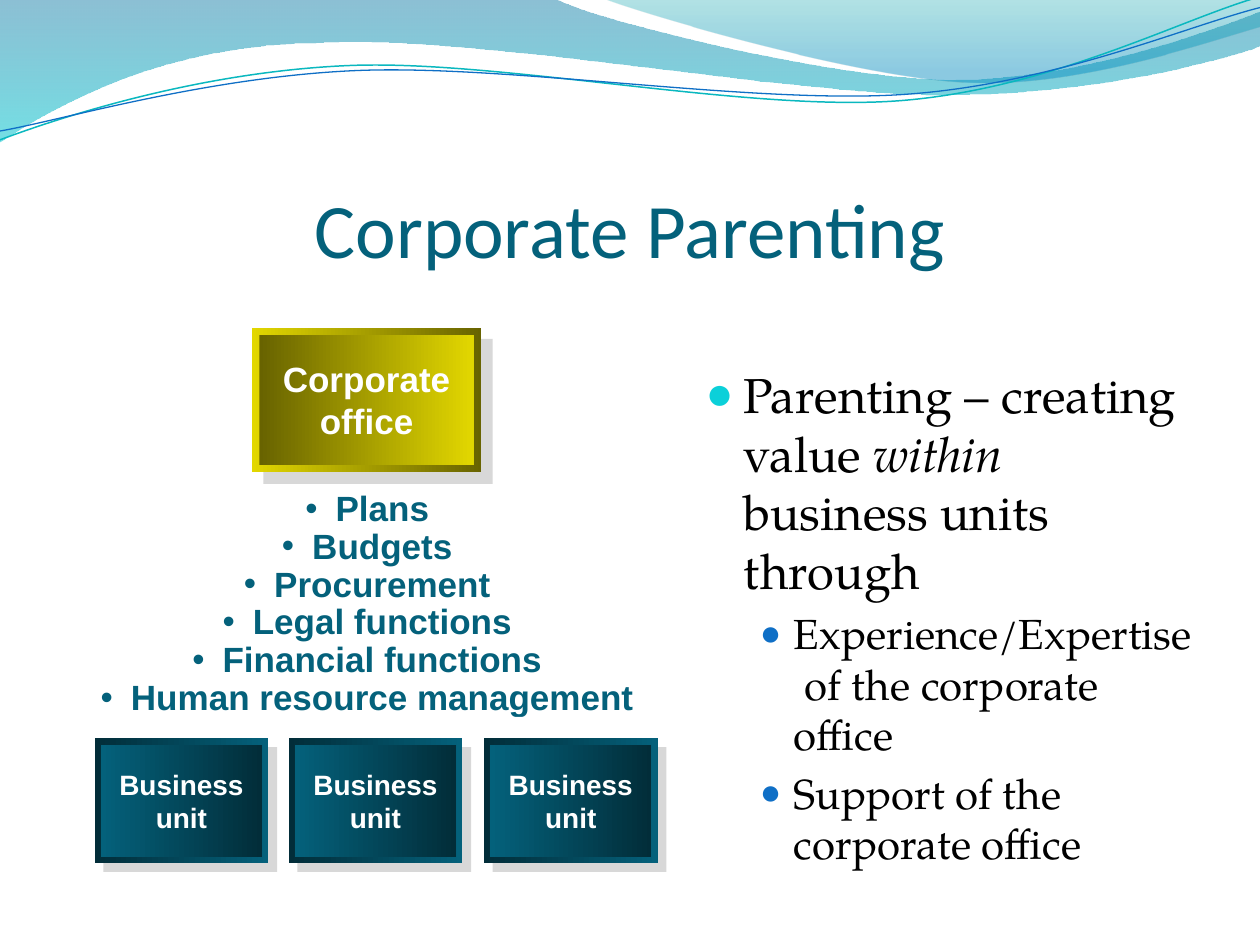
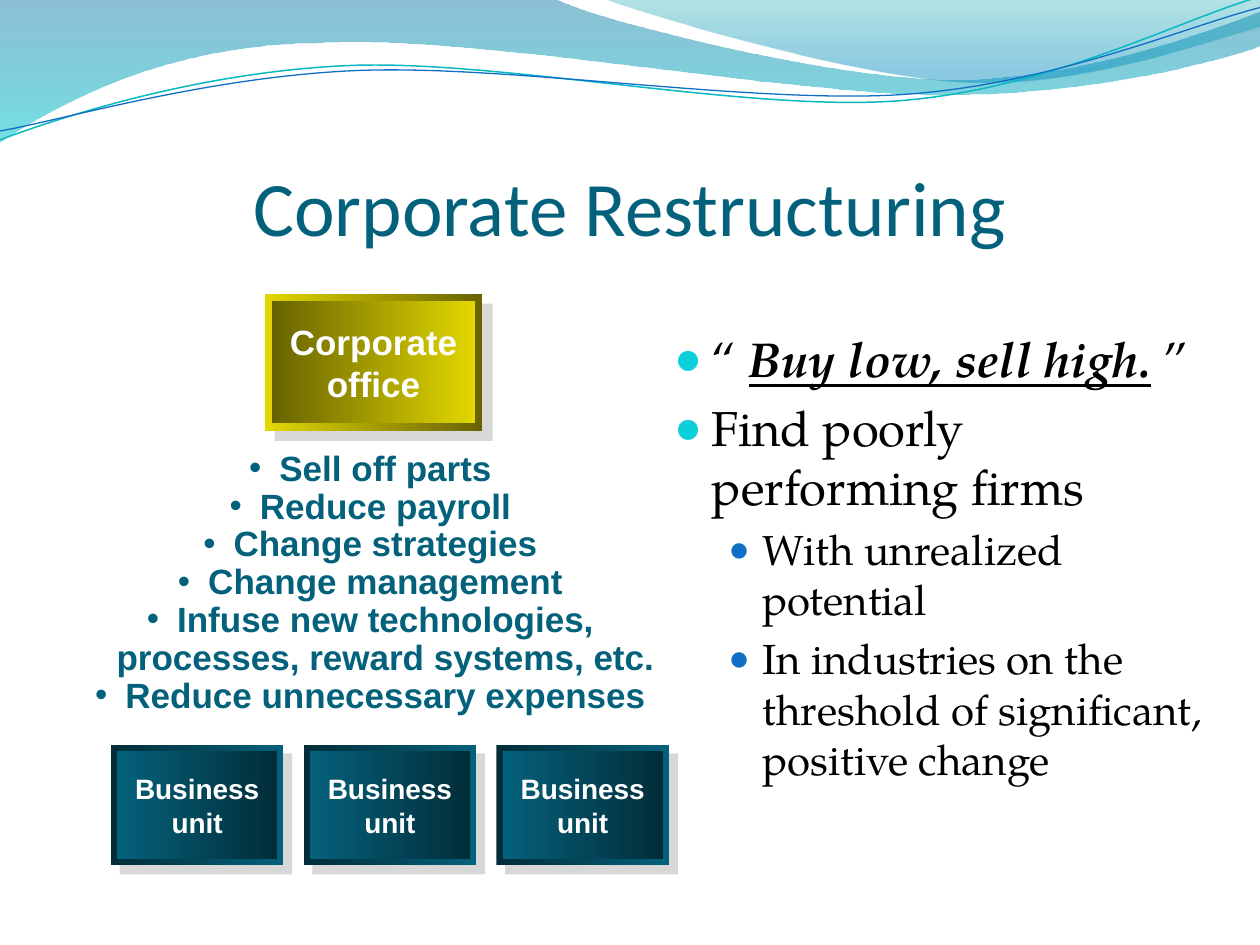
import math

from lxml import etree
from pptx import Presentation
from pptx import util as u
from pptx.dml.color import RGBColor
from pptx.enum import shapes, text
from pptx.oxml import ns

PX = 9144  # EMU per px, 100 px to the inch

COLORS = {
    "title": "04617B", "body": "000000", "white": "FFFFFF", "shadow": "B2B2B2",
    "gold": "E2D700", "gold_dark": "686300", "teal": "04617B", "teal_dark": "022D39",
    "bullet_1": "0BD0D9", "bullet_2": "0F6FC6",
    "wave_top": "0074A1", "wave_bottom": "00C6CF",
    "crest_top": "00A1A9", "crest_bottom": "008BBF",
    "line_cyan": "0AB8BF", "line_blue": "0F6FC6",
}
HEADING_FONT, BODY_FONT, DIAGRAM_FONT = "Calibri", "TeX Gyre Pagella", "Arial"

# Body levels: size, bullet colour, bullet percent, indent px, hanging px
LEVELS = [(28, "bullet_1", 95, 30, 30), (24, "bullet_2", 85, 70, 27)]

# Outlines in px: a pair is a straight line, six numbers are a Bezier curve
WAVE = [(0, -1), (440, -1), (476, 17, 664, 63, 758, 63), (853, 63, 958, 26, 1000, 9),
        (1001, 36), (983, 44, 870, 76, 746, 75), (622, 75, 382, 28, 257, 34),
        (129, 35, 46, 83, -1, 113)]
CREST = [(479, -1), (509, 11, 682, 62, 769, 65), (856, 69, 961, 32, 1000, 21), (1000, 0)]
CYAN_LINE = [(0, 111), (48, 93, 158, 57, 277, 52), (395, 47, 593, 89, 713, 80),
             (833, 71, 938, 15, 998, -2)]
BLUE_LINE = [(0, 104), (47, 96, 164, 61, 283, 56), (403, 51, 597, 83, 717, 75),
             (836, 67, 941, 21, 1000, 6)]
LINE_TILT = -2.7


def rgb(name):
    return RGBColor.from_string(COLORS[name])


def emu(*lengths):
    return [round(length * PX) for length in lengths]


def write(paragraph, words, font, size, color, bold=False, italic=False, underline=False):
    run = paragraph.add_run()
    run.text = words
    run.font.name, run.font.size = font, u.Pt(size)
    run.font.color.rgb = rgb(color)
    run.font.bold, run.font.italic, run.font.underline = bold, italic, underline


def set_bullet(paragraph, character, indent, hanging, color=None, percent=None):
    properties = paragraph._p.get_or_add_pPr()
    properties.set("marL", str(indent * PX))
    properties.set("indent", str(-hanging * PX))
    if color:
        holder = etree.SubElement(properties, ns.qn("a:buClr"))
        etree.SubElement(holder, ns.qn("a:srgbClr"), val=COLORS[color])
    if percent:
        etree.SubElement(properties, ns.qn("a:buSzPct"), val=str(percent * 1000))
    etree.SubElement(properties, ns.qn("a:buFont"), typeface=DIAGRAM_FONT)
    etree.SubElement(properties, ns.qn("a:buChar"), char=character)


def set_opacity(shape, *percents):
    colors = shape._element.spPr.iter(ns.qn("a:srgbClr"))
    for color, percent in zip(list(colors), percents):
        etree.SubElement(color, ns.qn("a:alpha"), val=str(percent * 1000))


def set_gradient(shape, start, end, angle=0, end_position=1.0):
    shape.fill.gradient()
    shape.fill.gradient_angle = angle
    for stop, color, position in zip(shape.fill.gradient_stops, (start, end), (0, end_position)):
        stop.color.rgb = rgb(color)
        stop.position = position


def turn(point, center, degrees):
    dx, dy = point[0] - center[0], point[1] - center[1]
    sine, cosine = math.sin(math.radians(degrees)), math.cos(math.radians(degrees))
    return center[0] + dx * cosine - dy * sine, center[1] + dx * sine + dy * cosine


def bend(shape, outline):
    """Join the three line segments of each curve into one Bezier segment."""
    lines = list(shape._element.iter(ns.qn("a:lnTo")))
    for segment in outline[1:]:
        parts, lines = lines[:len(segment) // 2], lines[len(segment) // 2:]
        if len(parts) == 3:
            curve = etree.Element(ns.qn("a:cubicBezTo"))
            parts[0].addprevious(curve)
            for part in parts:
                curve.append(part[0])
                part.getparent().remove(part)


class Deck:
    def __init__(self):
        self.presentation = Presentation()
        self.presentation.slide_width, self.presentation.slide_height = emu(1000, 750)
        self.slide = None

    def new_slide(self):
        self.slide = self.presentation.slides.add_slide(self.presentation.slide_layouts[1])

    def freeform(self, outline, closed, center=(0, 0), tilt=0):
        points = [pair for segment in outline for pair in zip(segment[::2], segment[1::2])]
        points = [emu(*turn(point, center, -tilt)) for point in points]
        builder = self.slide.shapes.build_freeform(*points[0])
        builder.add_line_segments(points[1:], close=closed)
        shape = builder.convert_to_shape()
        bend(shape, outline)
        shape.rotation = tilt
        shape.shadow.inherit = False
        return shape

    def wave(self, outline, start, end, opacities, end_position=1.0):
        shape = self.freeform(outline, True)
        set_gradient(shape, start, end, 270, end_position)
        set_opacity(shape, *opacities)
        shape.line.fill.background()
        return shape

    def wave_line(self, outline, center, color, width):
        shape = self.freeform(outline, False, center, LINE_TILT)
        shape.fill.background()
        shape.line.color.rgb = rgb(color)
        shape.line.width = u.Pt(width)
        return shape

    def master_waves(self):
        """Draw the top band and move it to the master, behind the placeholders."""
        band = [
            self.wave(WAVE, "wave_top", "wave_bottom", (45, 55)),
            self.wave(CREST, "crest_top", "crest_bottom", (30, 45), 0.8),
            self.wave_line(CYAN_LINE, (499, 57.5), "line_cyan", 0.85),
            self.wave_line(BLUE_LINE, (499.5, 59), "line_blue", 0.75),
        ]
        tree = self.presentation.slide_master.shapes._spTree
        for index, shape in enumerate(band):
            shape._element.nvSpPr.cNvPr.set("id", str(100 + index))
            tree.insert(2 + index, shape._element)

    def place(self, shape, left, top, width, height):
        shape.left, shape.top, shape.width, shape.height = emu(left, top, width, height)
        frame = shape.text_frame
        frame.word_wrap, frame.auto_size = True, text.MSO_AUTO_SIZE.NONE
        return frame

    def title(self, words, top):
        frame = self.place(self.slide.shapes.title, 50, top, 900, 125)
        frame.vertical_anchor = text.MSO_ANCHOR.BOTTOM
        frame.margin_left = frame.margin_right = frame.margin_bottom = 0
        frame.margin_top = 5 * PX
        paragraph = frame.paragraphs[0]
        paragraph.alignment = text.PP_ALIGN.CENTER
        write(paragraph, words, HEADING_FONT, 44, "title")

    def body(self, items, *bounds):
        """Each item is a level and its runs; a run is words and format."""
        frame = self.place(self.slide.placeholders[1], *bounds)
        frame.vertical_anchor = text.MSO_ANCHOR.TOP
        for index, (level, runs) in enumerate(items):
            paragraph = frame.add_paragraph() if index else frame.paragraphs[0]
            size, color, percent, indent, hanging = LEVELS[level]
            paragraph.level = level
            paragraph.space_before = u.Pt(size * 0.2)
            set_bullet(paragraph, "●", indent, hanging, color, percent)
            for words, style in runs:
                write(paragraph, words, BODY_FONT, size, "body", **style)

    def activities(self, lines, *bounds):
        shape = self.slide.shapes.add_textbox(*emu(*bounds))
        frame = shape.text_frame
        frame.word_wrap, frame.auto_size = True, text.MSO_AUTO_SIZE.SHAPE_TO_FIT_TEXT
        for index, words in enumerate(lines):
            paragraph = frame.add_paragraph() if index else frame.paragraphs[0]
            paragraph.alignment = text.PP_ALIGN.CENTER
            paragraph.line_spacing = 0.9
            set_bullet(paragraph, "•", 24, 24)
            write(paragraph, words, DIAGRAM_FONT, 20, "title", bold=True)

    def rectangle(self, group, left, top, width, height, fill=None, gradient=None):
        shape = group.shapes.add_shape(shapes.MSO_SHAPE.RECTANGLE,
                                       *emu(left, top, width, height))
        shape.shadow.inherit = False
        shape.line.fill.background()
        if gradient:
            set_gradient(shape, *gradient)
        else:
            shape.fill.solid()
            shape.fill.fore_color.rgb = rgb(fill)
        return shape

    def framed_box(self, group, words, left, top, width, height, start, end, size):
        """A box with a soft shadow and a rim whose gradient runs the other way."""
        offset, rim = round(width * 0.048), round(width * 0.035)
        shadow = self.rectangle(group, left + offset, top + offset, width, height, "shadow")
        set_opacity(shadow, 50)
        self.rectangle(group, left, top, width, height, gradient=(start, end))
        face = self.rectangle(group, left + rim, top + rim, width - 2 * rim,
                              height - 2 * rim, gradient=(end, start))
        frame = face.text_frame
        frame.word_wrap, frame.vertical_anchor = True, text.MSO_ANCHOR.MIDDLE
        paragraph = frame.paragraphs[0]
        paragraph.alignment = text.PP_ALIGN.CENTER
        write(paragraph, words, DIAGRAM_FONT, size, "white", bold=True)

    def office(self, *bounds):
        group = self.slide.shapes.add_group_shape()
        self.framed_box(group, "Corporate office", *bounds, "gold", "gold_dark", 20)

    def units(self, panel, left, top, width, height, span):
        """Three boxes on a panel; span runs from the first left edge to the last."""
        group = self.slide.shapes.add_group_shape()
        self.rectangle(group, *panel, "white")
        for index in range(3):
            self.framed_box(group, "Business unit", left + span * index // 2, top,
                            width, height, "teal_dark", "teal", 16)


def main():
    deck = Deck()

    # Slide 1: parenting
    deck.new_slide()
    deck.master_waves()
    deck.title("Corporate Parenting", 92)
    deck.body([
        (0, [("Parenting – creating value ", {}), ("within", {"italic": True}),
             (" business units through", {})]),
        (1, [("Experience/Expertise  of the corporate office", {})]),
        (1, [("Support of the corporate office", {})]),
    ], 550, 284, 409, 400)
    deck.activities(["Plans", "Budgets", "Procurement", "Legal functions",
                     "Financial functions", "Human resource management"], 58, 385, 467, 190)
    deck.office(200, 260, 182, 115)
    deck.units((11, 569, 581, 139), 75, 586, 138, 99, 309)

    # Slide 2: restructuring
    deck.new_slide()
    deck.title("Corporate Restructuring", 75)
    deck.body([
        (0, [("“ ", {}),
             ("Buy low, sell high.", {"bold": True, "italic": True, "underline": True}),
             (" ”", {})]),
        (0, [("Find poorly performing firms", {})]),
        (1, [("With unrealized potential", {})]),
        (1, [("In industries on the threshold of significant, positive change", {})]),
    ], 525, 256, 442, 390)
    deck.office(210, 233, 173, 109)
    deck.activities(["Sell off parts", "Reduce payroll", "Change strategies",
                     "Change management",
                     "Infuse new technologies, processes, reward systems, etc.",
                     "Reduce unnecessary expenses"], 33, 353, 522, 222)
    deck.units((25, 575, 575, 135), 88, 591, 137, 96, 306)

    deck.presentation.save("out.pptx")


if __name__ == "__main__":
    main()
